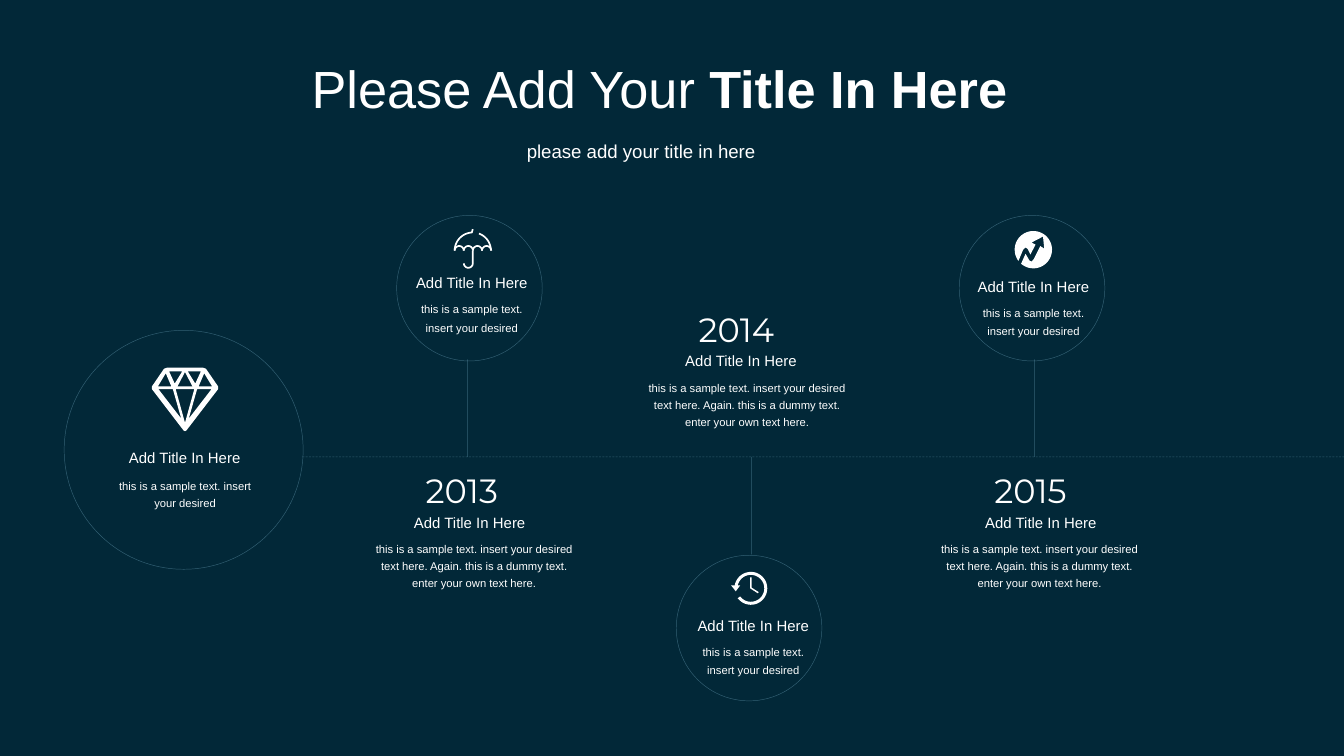
"""Build a dark timeline slide with three yearly milestones and icon circles."""
import math
from lxml import etree
from pptx import Presentation
from pptx.dml.color import RGBColor
from pptx.enum import dml, shapes, text
from pptx.oxml import ns
from pptx.util import Pt

COLORS = {"night": "022838", "white": "FFFFFF", "sky": "A4E2FE"}
HEADING = "Add Title In Here"
TEASER = "this is a sample text. insert your desired"
STORY = ("this is a sample text. insert your desired text here. Again. "
         "this is a dummy text. enter your own text here.")
LEFT, CENTER = text.PP_ALIGN.LEFT, text.PP_ALIGN.CENTER
AXIS_Y = 244.8


def arc(cx, cy, radius, start, end, steps=24):
    angles = [math.radians(start + (end - start) * i / steps) for i in range(steps + 1)]
    return [(cx + radius * math.cos(a), cy + radius * math.sin(a)) for a in angles]


def draw_icon(contours, left, top, stroke=None):
    scaled = [[(x * 100, y * 100) for x, y in contour] for contour in contours]
    builder = slide.shapes.build_freeform(*scaled[0][0], scale=Pt(1) / 100)
    for contour in scaled:
        if contour is not scaled[0]:
            builder.move_to(*contour[0])
        builder.add_line_segments(contour[1:], close=stroke is None)
    icon = builder.convert_to_shape(Pt(left), Pt(top))
    icon.shadow.inherit = False
    if stroke:
        icon.fill.background()
        icon.line.color.rgb = white
        icon.line.width = Pt(stroke)
    else:
        icon.fill.solid()
        icon.fill.fore_color.rgb = white
        icon.line.fill.background()


white = RGBColor.from_string(COLORS["white"])
deck = Presentation()
deck.slide_width, deck.slide_height = Pt(720), Pt(405)
slide = deck.slides.add_slide(deck.slide_layouts[0])
slide.background.fill.solid()
slide.background.fill.fore_color.rgb = RGBColor.from_string(COLORS["night"])

outlines = []
for left, top, size in [(34.4, 177, 128), (212.5, 115.4, 78), (513.9, 115.4, 78), (362.3, 297.5, 78)]:
    circle = slide.shapes.add_shape(shapes.MSO_SHAPE.OVAL, Pt(left), Pt(top), Pt(size), Pt(size))
    circle.shadow.inherit = False
    circle.fill.background()
    outlines.append(circle)

for x1, y1, x2, y2 in [(162, AXIS_Y, 720, AXIS_Y), (250.4, AXIS_Y, 250.4, 192.6),
                       (554.2, AXIS_Y, 554.2, 192.6), (402.5, AXIS_Y, 402.5, 297)]:
    connector = slide.shapes.add_connector(
        shapes.MSO_CONNECTOR.STRAIGHT, Pt(x1), Pt(y1), Pt(x2), Pt(y2))
    if y1 == y2:
        connector.line.dash_style = dml.MSO_LINE.DASH
    outlines.append(connector)

for outline in outlines:
    outline.line.color.rgb = RGBColor.from_string(COLORS["sky"])
    outline.line.width = Pt(0.25)
    properties = outline.element.spPr
    color = properties.find(".//" + ns.qn("a:srgbClr"))
    etree.SubElement(color, ns.qn("a:alpha"), val="30000")
    if properties.find(ns.qn("a:effectLst")) is None:
        etree.SubElement(properties, ns.qn("a:effectLst"))

labels = [(HEADING, 61.2, 236.9, 75.6, 17, 8, "Arial", CENTER, None),
          (TEASER, 55.2, 251.3, 88, 25, 6, "Arial", CENTER, 9)]
for left, top in [(215, 143.3), (515.9, 145.4), (365.8, 326.9)]:
    labels += [(HEADING, left, top, 75.6, 17, 8, "Arial", CENTER, None),
               (TEASER, left - 0.4, top + 12.2, 76.3, 27.4, 6, "Arial", CENTER, 10)]
for year, top, year_left, heading_left, story_left, story_width in [
        ("2013", 248.4, 221, 214.6, 190, 128),
        ("2014", 162, 367.2, 360, 339, 122.4),
        ("2015", 248.4, 525.6, 520.6, 494.6, 124.6)]:
    labels += [(year, year_left, top, 63.4, 28.8, 18, "Montserrat", LEFT, None),
               (HEADING, heading_left, top + 23, 75.6, 17, 8, "Arial", LEFT, None),
               (STORY, story_left, top + 37, story_width, 34.6, 6, "Arial", CENTER, 9)]

for words, left, top, width, height, size, font, align, spacing in labels:
    label = slide.shapes.add_textbox(Pt(left), Pt(top), Pt(width), Pt(height))
    frame = label.text_frame
    frame.text = words
    frame.word_wrap = spacing is not None
    frame.auto_size = text.MSO_AUTO_SIZE.SHAPE_TO_FIT_TEXT
    paragraph = frame.paragraphs[0]
    paragraph.alignment = align
    if spacing:
        paragraph.line_spacing = Pt(spacing)
    run = paragraph.runs[0]
    run.font.size, run.font.name, run.font.color.rgb = Pt(size), font, white

title, subtitle = slide.shapes.title, slide.placeholders[1]
title.text_frame.text = "Please Add Your "
emphasis = title.text_frame.paragraphs[0].add_run()
emphasis.text = "Title In Here"
emphasis.font.bold = True
subtitle.text_frame.text = "please add your title in here"
for heading, left, top, width, height, size in [
        (title, 159.8, 26.6, 391.7, 41, 28), (subtitle, 275, 71.3, 137.5, 19.4, 10)]:
    heading.left, heading.top, heading.width, heading.height = Pt(left), Pt(top), Pt(width), Pt(height)
    frame = heading.text_frame
    frame.word_wrap = False
    frame.auto_size = text.MSO_AUTO_SIZE.SHAPE_TO_FIT_TEXT
    frame.vertical_anchor = text.MSO_ANCHOR.TOP
    frame.paragraphs[0].alignment = LEFT
    frame.paragraphs[0].space_before = Pt(0)
    for run in frame.paragraphs[0].runs:
        run.font.size, run.font.name, run.font.color.rgb = Pt(size), "Arial", white

gem_width = 35.4
gem_outline = [(0, 10), (6.5, 0.5), (8, 0), (27.4, 0), (28.9, 0.5), (35.4, 10),
               (35.4, 11.5), (18.5, 33.6), (17.7, 34), (16.9, 33.6), (0, 11.5)]
middle_facets = [[(12.7, 11.5), (22.7, 11.5), (17.7, 29.5)], [(13.7, 10), (21.7, 10), (17.7, 2.3)]]
left_facets = [[(16.2, 2), (9.2, 2), (12.2, 8.5)], [(3.5, 11.5), (11.2, 11.5), (15.7, 27.3)],
               [(3.2, 10), (10.4, 10), (7.4, 3)]]
right_facets = [[(gem_width - x, y) for x, y in facet] for facet in left_facets]
draw_icon([gem_outline] + middle_facets + left_facets + right_facets, 81.4, 197)

canopy = [arc(9.9, 11.9, 9.7, 180, 267) + [(9.9, 0.4)], arc(9.9, 11.9, 9.7, 290, 360)]
scallops = [arc(2.6 + 4.9 * i, 11.9, 2.45, 180, 360) for i in range(4)]
handle = [(9.9, 11.9)] + arc(7.5, 18.7, 2.4, 0, 180)
draw_icon(canopy + scallops + [handle], 243.4, 122.4, stroke=0.9)

trend_notch = [(5.8, 12.2), (7.9, 15.8), (9, 16.4), (10.2, 15.1), (13.7, 8.1), (15.8, 9.4),
               (15.2, 3), (9, 6.2), (11.2, 7.3), (8.4, 12.6), (6.9, 9.6), (5.8, 8.8), (4.5, 10.1)]
draw_icon([arc(10, 10, 10, 143, 491, 60) + trend_notch], 543.6, 123.8)

clock_ring = arc(10.6, 8.8, 8.8, 191, 503, 48) + arc(10.6, 8.8, 7.2, 503, 191, 48)
clock_arrow = [(0, 7.2), (4.9, 7.2), (2.5, 10.4)]
clock_hands = [(10.2, 2.9), (10.2, 8.8), (14.4, 11.5), (14.8, 10.8), (11, 8.4), (11, 2.9)]
draw_icon([clock_ring, clock_arrow, clock_hands], 391.7, 306.4)

deck.save("out.pptx")
